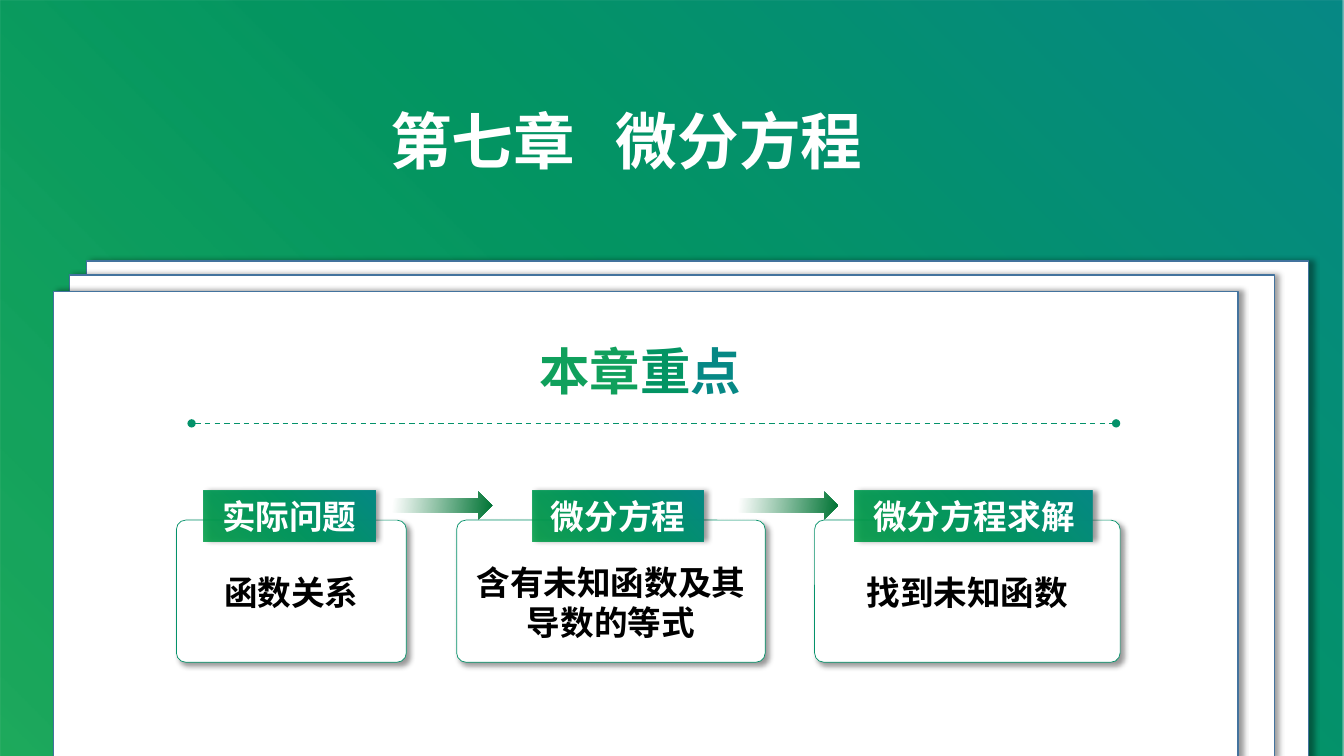
import pptx
import pptx.util
import pptx.oxml
import pptx.oxml.ns
import pptx.dml.color
import pptx.enum.shapes
import pptx.enum.text

Inches = pptx.util.Inches
Pt = pptx.util.Pt
qn = pptx.oxml.ns.qn
KIND = pptx.enum.shapes.MSO_SHAPE
NS = 'xmlns:a="http://schemas.openxmlformats.org/drawingml/2006/main"'

HUES = {
    "white": "FFFFFF", "black": "000000", "green": "009E47", "mid": "039463",
    "teal": "068885", "edge": "43739E", "rule": "04926A", "arrow": "007434",
    "lead": "10A05C",
}

# Gradients: stops of (position %, colour, opacity %) and the direction
BRAND = (
    [(0, "green", 88), (55, "mid", 100), (100, "teal", 100)],
    '<a:path path="circle"><a:fillToRect t="100000" r="100000"/></a:path>',
)
FADE = ([(4, "white", 100), (100, "arrow", 100)], '<a:lin ang="300000" scaled="0"/>')

# Cards: left, width, label left, label width, label, text middle, lines
CARDS = [
    (1.75, 2.28, 2.02, 1.7, "实际问题", 5.87, ["函数关系"]),
    (4.53, 3.06, 5.28, 1.7, "微分方程", 5.97, ["含有未知函数及其", "导数的等式"]),
    (8.08, 3.03, 8.48, 2.36, "微分方程求解", 5.87, ["找到未知函数"]),
]
PAGES = [(0.86, 2.59, 12.12), (0.69, 2.73, 11.95), (0.53, 2.89, 11.75)]


def tint(name):
    return pptx.dml.color.RGBColor.from_string(HUES[name])


def blend(shape, look):
    """Fill a shape with a gradient."""
    stops, way = look
    marks = "".join(
        f'<a:gs pos="{pos * 1000}"><a:srgbClr val="{HUES[hue]}">'
        f'<a:alpha val="{alpha * 1000}"/></a:srgbClr></a:gs>'
        for pos, hue, alpha in stops)
    shape.fill.background()
    props = shape.element.spPr
    props.replace(props.find(qn("a:noFill")), pptx.oxml.parse_xml(
        f'<a:gradFill {NS} rotWithShape="1"><a:gsLst>{marks}</a:gsLst>{way}</a:gradFill>'))


def shade(shape, angle):
    """Add a soft outer shadow."""
    shape.element.spPr.find(qn("a:effectLst")).append(pptx.oxml.parse_xml(
        f'<a:outerShdw {NS} blurRad="{Pt(4)}" dist="{Pt(3)}" dir="{angle * 60000}" '
        'algn="tl" rotWithShape="0"><a:srgbClr val="000000">'
        '<a:alpha val="40000"/></a:srgbClr></a:outerShdw>'))


def block(slide, kind, box, fill, edge=None, width=1):
    """Draw a preset shape with a plain or gradient fill."""
    shape = slide.shapes.add_shape(kind, *map(Inches, box))
    shape.shadow.inherit = False
    if isinstance(fill, str):
        shape.fill.solid()
        shape.fill.fore_color.rgb = tint(fill)
    else:
        blend(shape, fill)
    if edge:
        shape.line.color.rgb = tint(edge)
        shape.line.width = Pt(width)
    else:
        shape.line.fill.background()
    return shape


def style(font, size, hue, face="Calibri"):
    for key, value in {"size": Pt(size), "bold": True, "name": face}.items():
        setattr(font, key, value)
    font.color.rgb = tint(hue)
    if face != "Calibri":
        font._element.find(qn("a:latin")).addnext(
            pptx.oxml.parse_xml(f'<a:ea {NS} typeface="{face}"/>'))


def frame(shape, align="CENTER"):
    """Prepare a text frame and return it."""
    text = shape.text_frame
    text.word_wrap = True
    text.vertical_anchor = pptx.enum.text.MSO_ANCHOR.MIDDLE
    text.paragraphs[0].alignment = getattr(pptx.enum.text.PP_ALIGN, align)
    return text


def words(shape, lines, hue):
    """Write centred lines of bold text."""
    text = frame(shape)
    for index, line in enumerate(lines):
        para = text.add_paragraph() if index else text.paragraphs[0]
        para.alignment = pptx.enum.text.PP_ALIGN.CENTER
        run = para.add_run()
        run.text = line
        style(run.font, 24, hue)


def label(slide, box):
    return slide.shapes.add_textbox(*map(Inches, box))


def title(slide):
    para = frame(label(slide, (3.77, 0.97, 6.49, 0.84)), "LEFT").paragraphs[0]
    para._p.get_or_add_pPr().append(pptx.oxml.parse_xml(
        f'<a:tabLst {NS}><a:tab pos="{Inches(2.24)}" algn="l"/></a:tabLst>'))
    run = para.add_run()
    run.text = "第七章\t微分方程"
    style(run.font, 44, "white", "Noto Sans CJK SC")


def head(slide):
    """Section heading that shifts from green to teal."""
    para = frame(label(slide, (4.85, 3.32, 3, 0.7))).paragraphs[0]
    for sign, hue in zip("本章重点", ("lead", "lead", "mid", "teal")):
        run = para.add_run()
        run.text = sign
        style(run.font, 36, hue, "Noto Sans CJK SC")


def rule(slide):
    """Dashed line with a dot at each end."""
    line = slide.shapes.add_connector(
        pptx.enum.shapes.MSO_CONNECTOR.STRAIGHT,
        Inches(1.9), Inches(4.2), Inches(11.07), Inches(4.2))
    line.line.color.rgb = tint("rule")
    line.line.width = Pt(1)
    line.line.dash_style = pptx.enum.dml.MSO_LINE.DASH
    props = line.element.spPr
    for end in ("headEnd", "tailEnd"):
        props.find(qn("a:ln")).append(
            pptx.oxml.parse_xml(f'<a:{end} {NS} type="oval"/>'))
    props.append(pptx.oxml.parse_xml(f"<a:effectLst {NS}/>"))


def card(slide, left, width, tab, wide, name, mid, lines):
    """Rounded card with a label on its top edge."""
    body = block(slide, KIND.ROUNDED_RECTANGLE, (left, 5.16, width, 1.41),
                 "white", "rule", 0.5)
    body.adjustments[0] = 0.065
    shade(body, 45)
    top = block(slide, KIND.RECTANGLE, (tab, 4.87, wide, 0.5), BRAND)
    shade(top, 0)
    words(top, [name], "white")
    tall = 0.1 + 0.4 * len(lines)
    words(label(slide, (left, mid - tall / 2, width, tall)), lines, "black")


def main():
    deck = pptx.Presentation()
    deck.slide_width, deck.slide_height = Inches(13.33), Inches(7.5)
    slide = deck.slides.add_slide(deck.slide_layouts[6])

    # Backdrop and stacked pages
    block(slide, KIND.RECTANGLE, (0, 0, 13.33, 7.5), BRAND)
    for left, top, width in PAGES:
        shade(block(slide, KIND.RECTANGLE, (left, top, width, 7.52 - top),
                    "white", "edge"), 0)

    # Headings
    title(slide)
    head(slide)
    rule(slide)

    # Steps and the arrows between them
    for item in CARDS:
        card(slide, *item)
    for left in (3.86, 7.29):
        block(slide, KIND.RIGHT_ARROW, (left, 4.88, 1.02, 0.27), FADE)

    deck.save("out.pptx")


if __name__ == "__main__":
    main()
